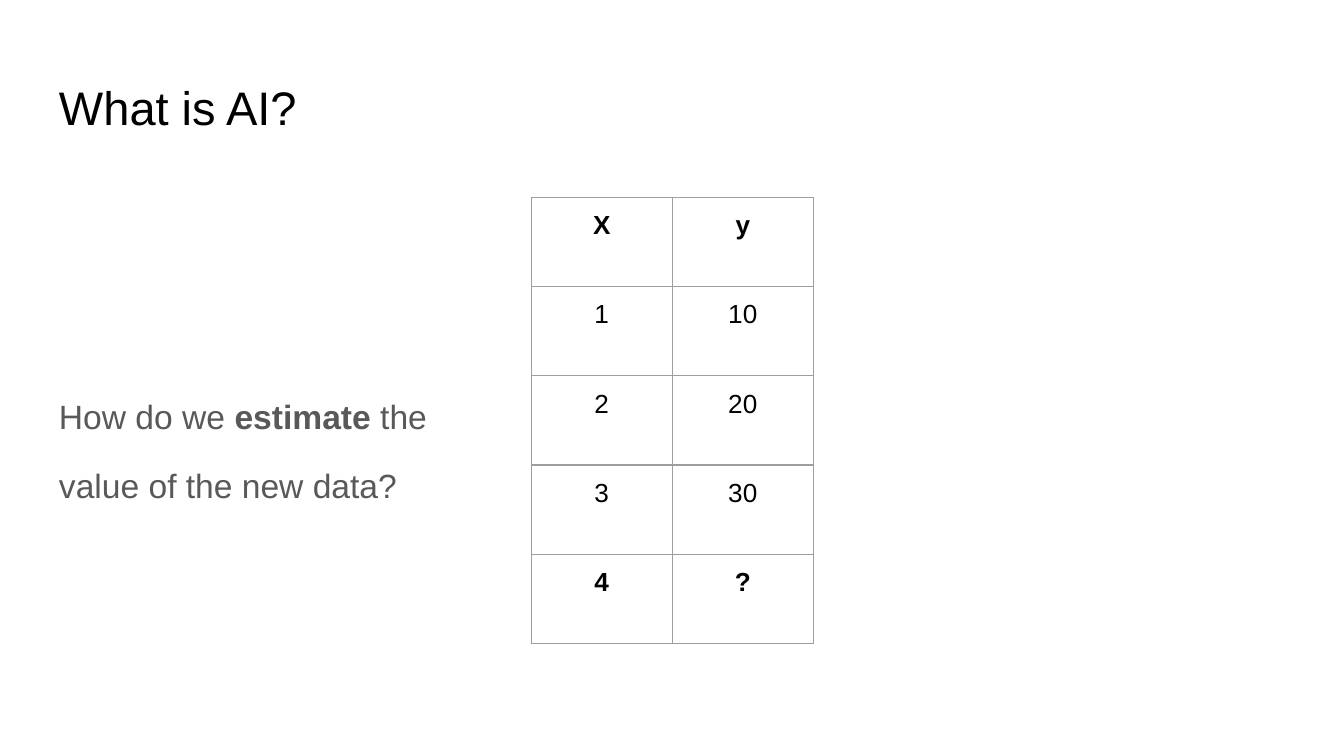
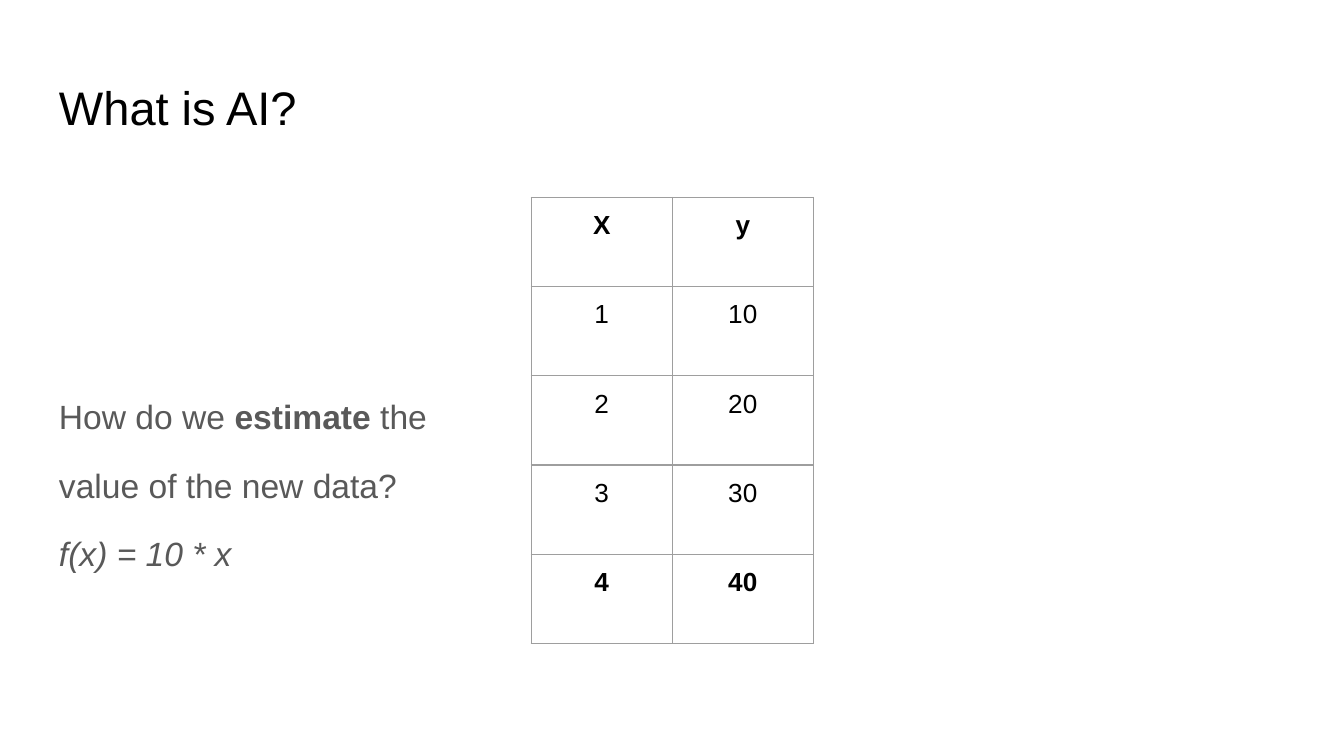
from lxml.etree import SubElement as Sub
from pptx import Presentation
from pptx.dml.color import RGBColor as RGB
from pptx.enum.text import MSO_AUTO_SIZE as AutoSize, PP_ALIGN as Align
from pptx.oxml.ns import qn
from pptx.util import Inches, Pt

BLACK = RGB(0x00, 0x00, 0x00)
GRAY = RGB(0x59, 0x59, 0x59)
BORDER = RGB(0x9E, 0x9E, 0x9E)
WHITE = RGB(0xFF, 0xFF, 0xFF)
FONT = "Arial"
INSET = Inches(0.1)

# Boxes as percent of the slide: left, top, width, height
TITLE_BOX = (3.41, 8.65, 93.18, 11.2)
BODY_BOX = (3.41, 49.8, 93.18, 39.1)
TABLE_BOX = (39.52, 26.12, 21, 59.03)


def add_run(p, text, size=18, color=GRAY, bold=False, italic=False):
    r = p.add_run()
    r.text = text
    r.font.name, r.font.size = FONT, Pt(size)
    r.font.bold, r.font.italic = bold, italic
    r.font.color.rgb = color


class Deck:
    def __init__(self):
        self.prs = Presentation()
        self.prs.slide_width = Inches(10)
        self.prs.slide_height = Inches(5.625)
        self.s = None

    def place(self, box):
        """Turn a box in percent into lengths on the slide."""
        sizes = (self.prs.slide_width, self.prs.slide_height) * 2
        return [round(size * share / 100) for size, share in zip(sizes, box)]

    def slide(self, title):
        self.s = self.prs.slides.add_slide(self.prs.slide_layouts[6])
        self.s.background.fill.solid()
        self.s.background.fill.fore_color.rgb = WHITE
        tf = self.frame(TITLE_BOX)
        add_run(tf.paragraphs[0], title, size=25.2, color=BLACK)

    def frame(self, box):
        tf = self.s.shapes.add_textbox(*self.place(box)).text_frame
        tf.word_wrap = True
        tf.auto_size = AutoSize.NONE
        tf.margin_left = tf.margin_right = INSET
        tf.margin_top = tf.margin_bottom = INSET
        return tf

    def body(self, lines):
        """Each line is a list of (text, format) runs."""
        tf = self.frame(BODY_BOX)
        for i, runs in enumerate(lines):
            p = tf.add_paragraph() if i else tf.paragraphs[0]
            p.line_spacing = 1.15
            if i:
                p.space_before = Pt(12)
            for text, fmt in runs:
                add_run(p, text, **fmt)

    def table(self, rows, bold_rows):
        frame = self.s.shapes.add_table(len(rows), len(rows[0]), *self.place(TABLE_BOX))
        table = frame.table
        table.first_row = table.horz_banding = False
        for i, row in enumerate(rows):
            for j, text in enumerate(row):
                self.cell(table.cell(i, j), text, bold=i in bold_rows)

    def cell(self, cell, text, bold):
        cell.margin_left = cell.margin_right = INSET
        cell.margin_top = cell.margin_bottom = INSET
        p = cell.text_frame.paragraphs[0]
        p.alignment = Align.CENTER
        add_run(p, text, size=14, color=BLACK, bold=bold)
        # Borders come before the fill in the cell properties
        props = cell._tc.get_or_add_tcPr()
        for side in ("a:lnL", "a:lnR", "a:lnT", "a:lnB"):
            line = Sub(props, qn(side), w=str(Pt(0.75)))
            Sub(Sub(line, qn("a:solidFill")), qn("a:srgbClr"), val=str(BORDER))
        cell.fill.background()


def main():
    deck = Deck()
    question = [
        [("How do we ", {}), ("estimate", {"bold": True}), (" the", {})],
        [("value of the new data?", {})],
    ]
    formula = [("f(x) = 10 * x", {"italic": True})]
    known = [("X", "y"), ("1", "10"), ("2", "20"), ("3", "30")]

    # The question, then its answer
    for lines, answer in ((question, "?"), (question + [formula], "40")):
        deck.slide("What is AI?")
        deck.body(lines)
        deck.table(known + [("4", answer)], bold_rows=(0, len(known)))

    deck.prs.save("out.pptx")


if __name__ == "__main__":
    main()
